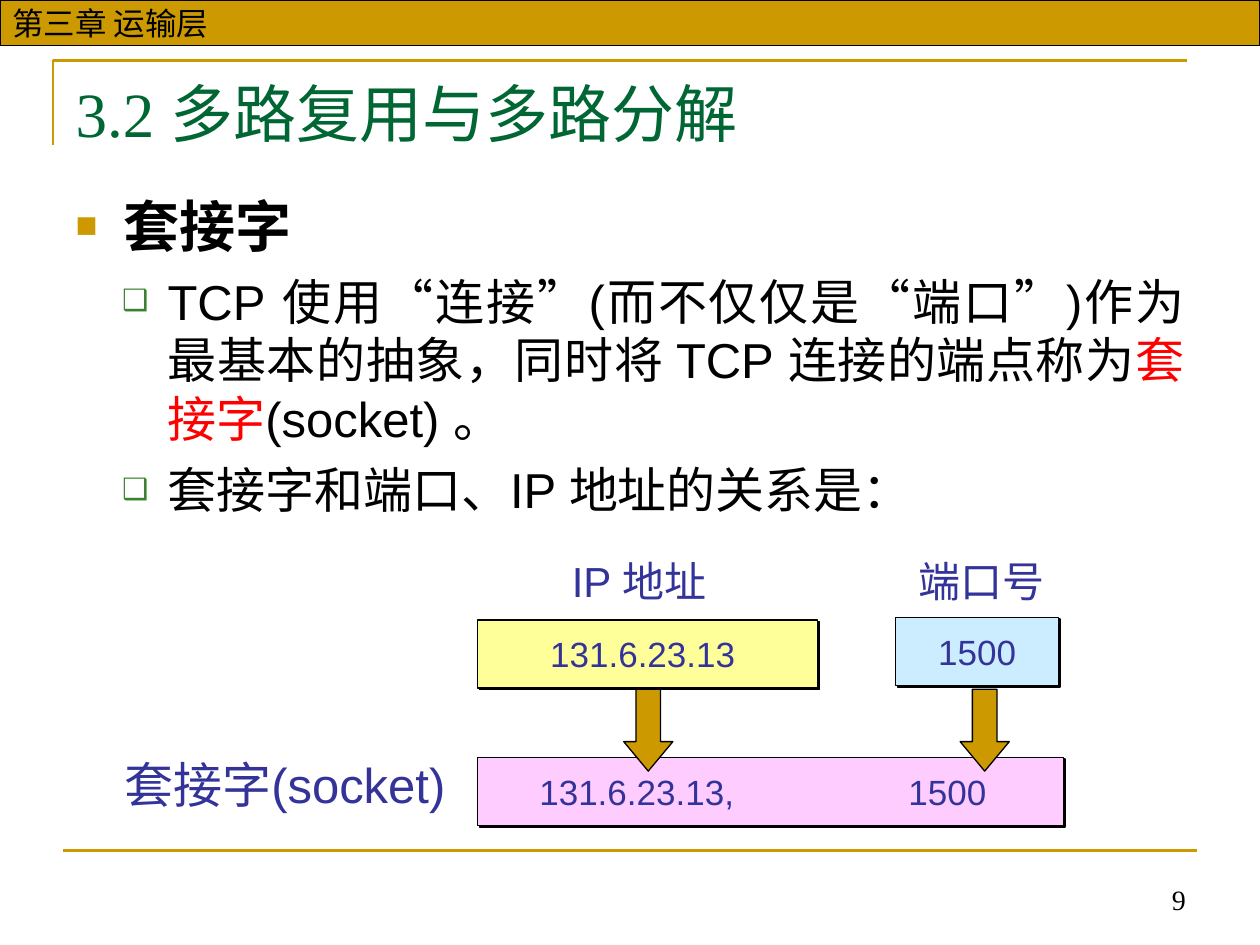
from lxml import etree
from pptx import Presentation
from pptx.dml.color import RGBColor
from pptx.enum.shapes import MSO_CONNECTOR, MSO_SHAPE
from pptx.enum.text import MSO_ANCHOR, MSO_AUTO_SIZE, PP_ALIGN
from pptx.oxml.ns import qn
from pptx.util import Inches, Pt

RECTANGLE, DOWN_ARROW = MSO_SHAPE.RECTANGLE, MSO_SHAPE.DOWN_ARROW
STRAIGHT = MSO_CONNECTOR.STRAIGHT
TOP, MIDDLE, BOTTOM = MSO_ANCHOR.TOP, MSO_ANCHOR.MIDDLE, MSO_ANCHOR.BOTTOM
LEFT, CENTER, RIGHT, JUSTIFY = PP_ALIGN.LEFT, PP_ALIGN.CENTER, PP_ALIGN.RIGHT, PP_ALIGN.JUSTIFY
NO_FIT = MSO_AUTO_SIZE.NONE
SANS, SERIF = "Arial", "Times New Roman"
COLORS = {
    "gold": "CC9900", "black": "000000", "title": "006633", "bullet": "3B812F", "red": "FF0000",
    "label": "333399", "address": "FFFF99", "port": "CCECFF", "socket": "FFCCFF",
}


def add_child(parent, tag, **attributes):
    child = etree.SubElement(parent, qn(tag))
    for name, value in attributes.items():
        child.set(name, str(value))
    return child


class SlideBuilder:
    """Holds the style and the page, and adds each kind of element to it."""

    def __init__(self, page):
        self.page = page

    def color(self, name):
        return RGBColor.from_string(COLORS[name])

    def span(self, para, text, size, color="black", font=SANS, bold=False):
        span = para.add_run()
        span.text = text
        span.font.size, span.font.name, span.font.bold = Pt(size), font, bold
        span.font.color.rgb = self.color(color)

    def frame(self, box, anchor):
        frame = box.text_frame
        frame.word_wrap, frame.auto_size, frame.vertical_anchor = True, NO_FIT, anchor
        return frame

    def place(self, box, left, top, width, height):
        box.left, box.top = Inches(left), Inches(top)
        box.width, box.height = Inches(width), Inches(height)

    def title(self, text, area):
        box = self.page.shapes.title
        self.place(box, *area)
        para = self.frame(box, TOP).paragraphs[0]
        para.alignment = LEFT
        self.span(para, text, 36, "title", SERIF)

    def body(self, items, area):
        box = self.page.placeholders[1]
        self.place(box, *area)
        frame = self.frame(box, TOP)
        for number, (level, spans) in enumerate(items):
            para = frame.add_paragraph() if number else frame.paragraphs[0]
            para.level = level
            para.alignment = JUSTIFY if level else LEFT
            para.space_before = Pt(7 if level else 8)
            self.bullet(para, level)
            for text, color in spans:
                self.span(para, text, 28 if level else 32, color, bold=not level)

    def bullet(self, para, level):
        mark, color, percent, margin, hanging = (
            ("❑", "bullet", 60, 0.73, 0.36) if level else ("■", "gold", 65, 0.38, 0.38))
        properties = para._p.get_or_add_pPr()
        properties.set("marL", str(Inches(margin)))
        properties.set("indent", str(-Inches(hanging)))
        add_child(add_child(properties, "a:buClr"), "a:srgbClr", val=COLORS[color])
        add_child(properties, "a:buSzPct", val=percent * 1000)
        add_child(properties, "a:buFont", typeface=SANS)
        add_child(properties, "a:buChar", char=mark)

    def text(self, text, area, size, color="label", font=SANS, align=LEFT, anchor=TOP):
        box = self.page.shapes.add_textbox(*map(Inches, area))
        para = self.frame(box, anchor).paragraphs[0]
        para.alignment = align
        self.span(para, text, size, color, font)

    def shape(self, kind, area, fill):
        box = self.page.shapes.add_shape(kind, *map(Inches, area))
        box.shadow.inherit = False
        box.fill.solid()
        box.fill.fore_color.rgb = self.color(fill)
        box.line.color.rgb, box.line.width = self.color("black"), Pt(0.75)
        return box

    def panel(self, text, area, fill, size=20, color="label", align=CENTER):
        box = self.shape(RECTANGLE, area, fill)
        para = self.frame(box, MIDDLE).paragraphs[0]
        para.alignment = align
        self.span(para, text, size, color)
        return box

    def hard_shadow(self, box):
        effects = box._element.spPr.find(qn("a:effectLst"))
        shadow = add_child(effects, "a:outerShdw", dist=Pt(1.4), dir=45 * 60000, algn="tl", rotWithShape=0)
        add_child(shadow, "a:srgbClr", val=COLORS["black"])

    def tab_stop(self, box, inset, stop):
        box.text_frame.margin_left = Inches(inset)
        properties = box.text_frame.paragraphs[0]._p.get_or_add_pPr()
        add_child(add_child(properties, "a:tabLst"), "a:tab", pos=Inches(stop), algn="l")

    def arrow(self, area):
        box = self.shape(DOWN_ARROW, area, "gold")
        box.adjustments[0], box.adjustments[1] = 0.5, 0.6

    def gold_line(self, shape):
        shape.line.color.rgb, shape.line.width = self.color("gold"), Pt(1.5)

    def corner(self, left, top, right, bottom):
        outline = self.page.shapes.build_freeform(Inches(left), Inches(bottom))
        points = [(Inches(left), Inches(top)), (Inches(right), Inches(top))]
        outline.add_line_segments(points, close=False)
        shape = outline.convert_to_shape()
        shape.shadow.inherit = False
        shape.fill.background()
        self.gold_line(shape)

    def rule(self, left, right, y):
        line = self.page.shapes.add_connector(STRAIGHT, Inches(left), Inches(y), Inches(right), Inches(y))
        add_child(line._element.spPr, "a:effectLst")
        self.gold_line(line)


def main():
    deck = Presentation()
    deck.slide_width, deck.slide_height = Inches(10), Inches(7.5)
    slide = SlideBuilder(deck.slides.add_slide(deck.slide_layouts[1]))

    slide.corner(0.42, 0.48, 9.42, 1.15)
    slide.rule(0.5, 9.5, 6.75)
    slide.panel("第三章 运输层", (0, 0, 10, 0.36), "gold", 18, "black", LEFT)
    slide.text("9", (6.34, 6.82, 3.17, 0.5), 16, "black", SERIF, RIGHT, BOTTOM)
    slide.title("3.2 多路复用与多路分解", (0.5, 0.54, 9, 0.77))
    slide.body([
        (0, [("套接字", "black")]),
        (1, [("TCP 使用“连接”(而不仅仅是“端口”)作为最基本的抽象，同时将 TCP 连接的端点称为", "black"),
             ("套接字", "red"), ("(socket) 。", "black")]),
        (1, [("套接字和端口、IP 地址的关系是：", "black")]),
    ], (0.5, 1.47, 9, 2.91))

    height = 0.54
    parts = [
        ("IP 地址", 4.44, "131.6.23.13 ", (3.79, 4.92, 2.7, height), "address"),
        ("端口号", 7.19, "1500", (7.11, 4.9, 1.29, height), "port"),
    ]
    for label, label_left, value, area, fill in parts:
        slide.text(label, (label_left, 4.36, 1.43, 0.5), 24)
        slide.hard_shadow(slide.panel(value, area, fill))

    socket = slide.panel("131.6.23.13,\t1500", (3.79, 6.01, 4.65, height), "socket", align=LEFT)
    slide.hard_shadow(socket)
    slide.tab_stop(socket, 0.49, 2.93)
    slide.text("套接字(socket)", (0.89, 5.94, 3.16, 0.57), 28)
    for left in (4.95, 7.62):
        slide.arrow((left, 5.47, 0.39, 0.65))

    deck.save("out.pptx")


if __name__ == "__main__":
    main()
